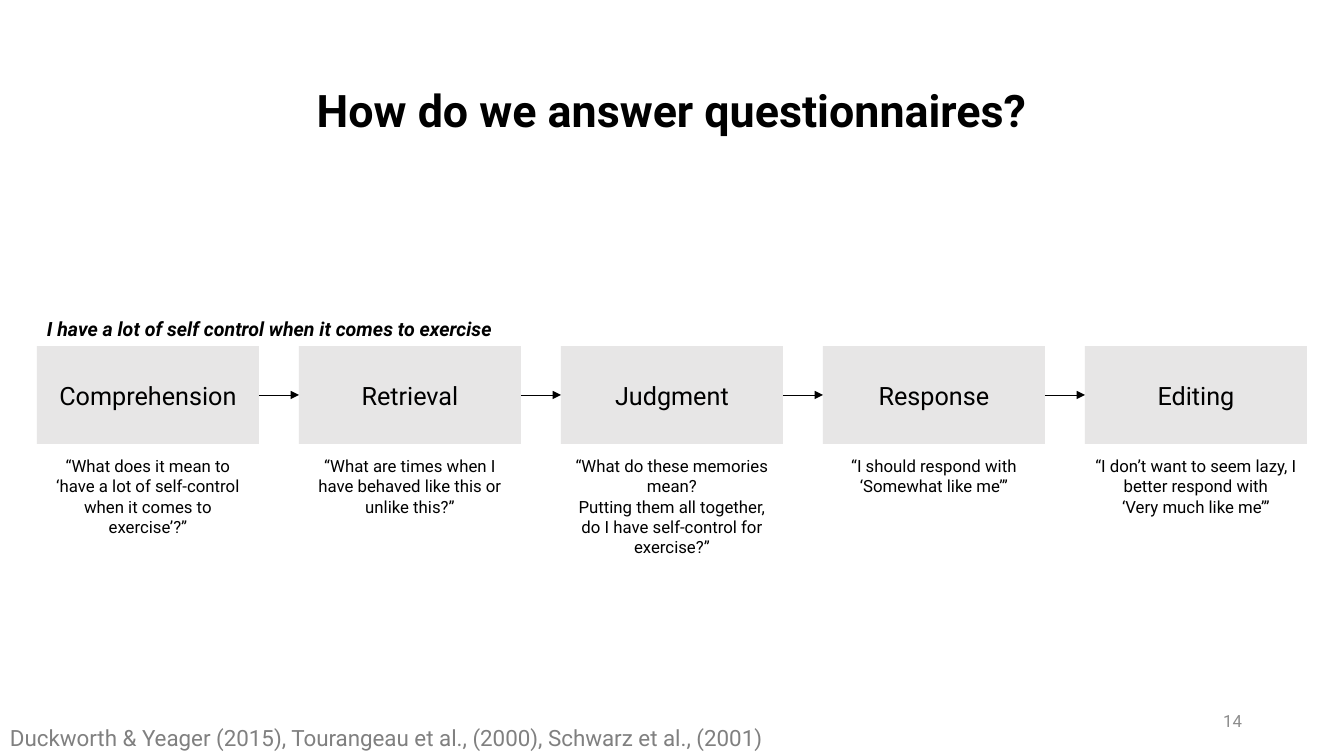
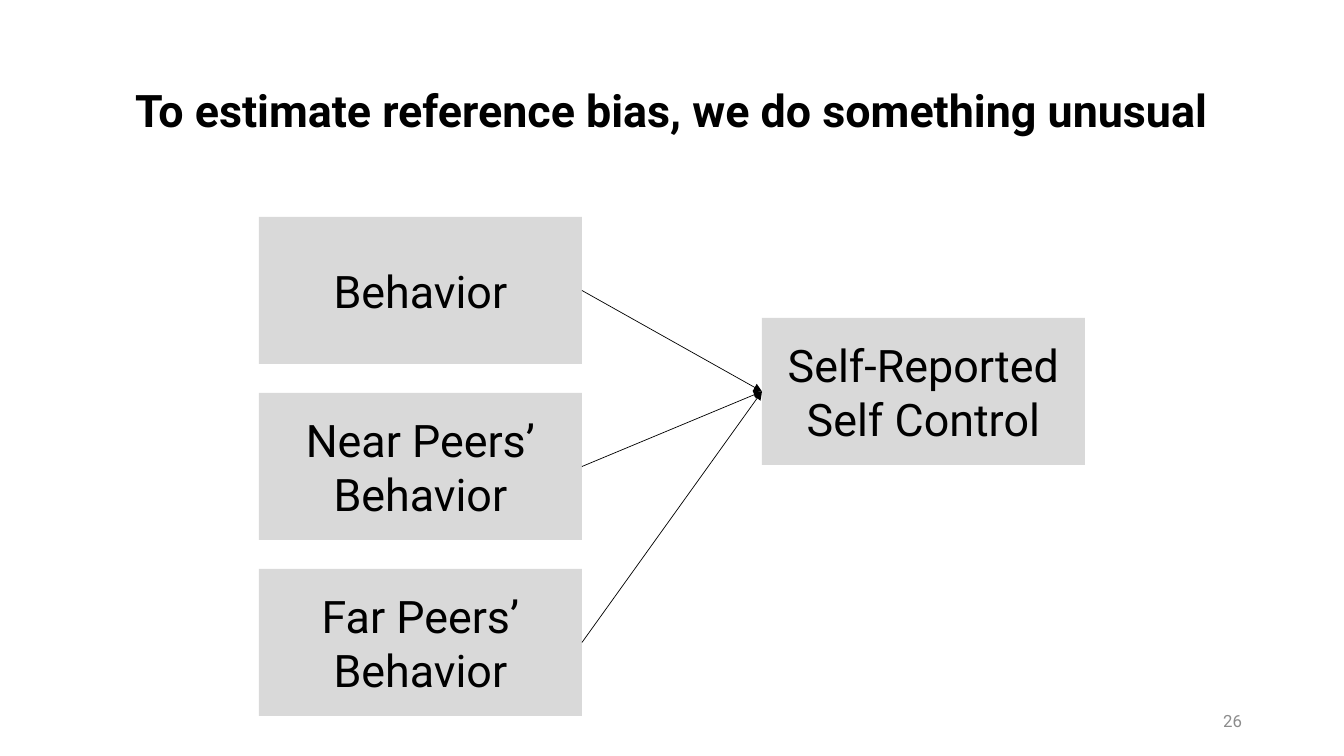
"""Build two slides on how people answer questionnaires and on reference bias."""
import dataclasses

import lxml.etree
import pptx
import pptx.dml.color
import pptx.enum.shapes
import pptx.enum.text
import pptx.oxml.ns
import pptx.util

EMU_PER_PX = 914400 / 100.8
TITLE_ONLY = 5
LEFT_SITE, RIGHT_SITE = 1, 3
ALIGN = pptx.enum.text.PP_ALIGN
ANCHOR = pptx.enum.text.MSO_ANCHOR
AUTO_SIZE = pptx.enum.text.MSO_AUTO_SIZE


@dataclasses.dataclass(frozen=True)
class Theme:
    font: str = "Roboto"
    ink: str = "000000"
    citation_ink: str = "808080"
    number_ink: str = "8C8C8C"
    stage_fill: str = "E7E6E6"
    factor_fill: str = "D9D9D9"
    title_size: int = 32
    factor_size: int = 32
    stage_size: int = 18
    citation_size: int = 16
    item_size: int = 14
    small_size: int = 12
    arrow_width: float = 0.5


THEME = Theme()

STAGES = [
    ("Comprehension", ["“What does it mean to ‘have a lot of self-control when it comes to exercise’?”"]),
    ("Retrieval", ["“What are times when I have behaved like this or unlike this?”"]),
    ("Judgment", ["“What do these memories mean?",
                  "Putting them all together, do I have self-control for exercise?”"]),
    ("Response", ["“I should respond with ‘Somewhat like me’”"]),
    ("Editing", ["“I don’t want to seem lazy, I better respond with", "‘Very much like me’”"]),
]
FACTORS = ["Behavior", "Near Peers’ Behavior", "Far Peers’ Behavior"]


def px(length):
    return pptx.util.Emu(round(length * EMU_PER_PX))


def rgb(colour):
    return pptx.dml.color.RGBColor.from_string(colour)


def write(frame, lines, size, colour=THEME.ink, align=ALIGN.CENTER,
          anchor=ANCHOR.MIDDLE, bold=False, italic=False, spacing=1.0):
    frame.word_wrap = True
    frame.auto_size = AUTO_SIZE.NONE
    frame.vertical_anchor = anchor
    for index, line in enumerate(lines):
        paragraph = frame.add_paragraph() if index else frame.paragraphs[0]
        paragraph.alignment = align
        paragraph.line_spacing = spacing
        run = paragraph.add_run()
        run.text = line
        run.font.name = THEME.font
        run.font.size = pptx.util.Pt(size)
        run.font.bold = bold
        run.font.italic = italic
        run.font.color.rgb = rgb(colour)


def add_text(slide, area, lines, size, **style):
    text = slide.shapes.add_textbox(*map(px, area))
    write(text.text_frame, lines, size, **style)
    return text


def add_label(slide, area, line, size, **style):
    label = add_text(slide, area, [line], size, align=ALIGN.LEFT, anchor=ANCHOR.TOP, **style)
    label.text_frame.word_wrap = False
    label.text_frame.auto_size = AUTO_SIZE.SHAPE_TO_FIT_TEXT


def add_box(slide, area, lines, size, fill):
    box = slide.shapes.add_shape(pptx.enum.shapes.MSO_SHAPE.RECTANGLE, *map(px, area))
    box.shadow.inherit = False
    box.fill.solid()
    box.fill.fore_color.rgb = rgb(fill)
    box.line.fill.background()
    write(box.text_frame, lines, size)
    return box


def add_arrow(slide, cause, effect):
    arrow = slide.shapes.add_connector(pptx.enum.shapes.MSO_CONNECTOR.STRAIGHT, 0, 0, 0, 0)
    arrow.begin_connect(cause, RIGHT_SITE)
    arrow.end_connect(effect, LEFT_SITE)
    arrow.line.color.rgb = rgb(THEME.ink)
    arrow.line.width = pptx.util.Pt(THEME.arrow_width)
    qn = pptx.oxml.ns.qn
    properties = arrow.element.spPr
    lxml.etree.SubElement(properties.find(qn("a:ln")), qn("a:tailEnd"), type="triangle")
    lxml.etree.SubElement(properties, qn("a:effectLst"))


def add_slide(deck, title, number):
    slide = deck.slides.add_slide(deck.slide_layouts[TITLE_ONLY])
    heading = slide.shapes.title
    heading.left, heading.top, heading.width, heading.height = map(px, (92, 40, 1160, 146))
    write(heading.text_frame, [title], THEME.title_size, bold=True, spacing=0.9)
    add_text(slide, (950, 701, 302, 40), [number], THEME.small_size,
             colour=THEME.number_ink, align=ALIGN.RIGHT)
    return slide


def build_answer_process(deck):
    slide = add_slide(deck, "How do we answer questionnaires?", "14")
    left, top, width, height, pitch, thought_top = 37, 346, 222, 98, 262, 451
    add_label(slide, (left, 312, 508, 34),
              "I have a lot of self control when it comes to exercise",
              THEME.item_size, bold=True, italic=True)
    stages = []
    for index, (name, thought) in enumerate(STAGES):
        x = left + index * pitch
        stages.append(add_box(slide, (x, top, width, height), [name],
                              THEME.stage_size, THEME.stage_fill))
        add_text(slide, (x, thought_top, width, height), thought,
                 THEME.small_size, anchor=ANCHOR.TOP)
    for earlier, later in zip(stages, stages[1:]):
        add_arrow(slide, earlier, later)
    add_label(slide, (0, 719, 795, 37),
              "Duckworth & Yeager (2015), Tourangeau et al., (2000), Schwarz et al., (2001)",
              THEME.citation_size, colour=THEME.citation_ink)


def build_reference_bias(deck):
    slide = add_slide(deck, "To estimate reference bias, we do something unusual", "26")
    left, top, width, height, pitch = 259, 217, 323, 147, 176
    self_report = add_box(slide, (762, 318, width, height),
                          ["Self-Reported", "Self Control"],
                          THEME.factor_size, THEME.factor_fill)
    for index, name in enumerate(FACTORS):
        factor = add_box(slide, (left, top + index * pitch, width, height), [name],
                         THEME.factor_size, THEME.factor_fill)
        add_arrow(slide, factor, self_report)


def main():
    deck = pptx.Presentation()
    deck.slide_width, deck.slide_height = px(1344), px(756)
    build_answer_process(deck)
    build_reference_bias(deck)
    deck.save("out.pptx")


if __name__ == "__main__":
    main()
